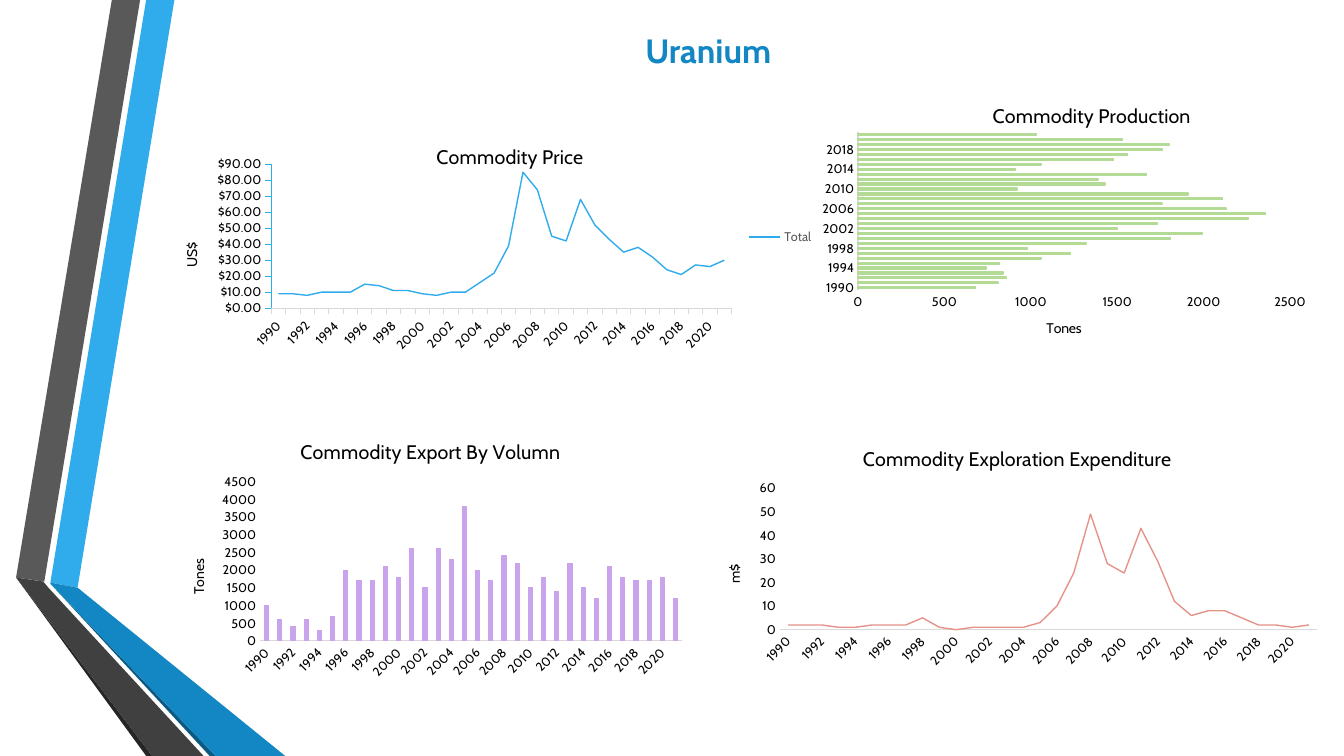
from lxml import etree
from pptx import Presentation
from pptx.chart.data import CategoryChartData
from pptx.dml.color import RGBColor
from pptx.enum.chart import XL_CHART_TYPE, XL_LEGEND_POSITION, XL_TICK_MARK
from pptx.enum.text import MSO_ANCHOR, PP_ALIGN
from pptx.oxml import parse_xml
from pptx.oxml.ns import nsdecls, qn
from pptx.util import Inches, Pt

LINE, BAR, COLUMN = XL_CHART_TYPE.LINE, XL_CHART_TYPE.BAR_CLUSTERED, XL_CHART_TYPE.COLUMN_CLUSTERED
TICK_NONE, TICK_OUT = XL_TICK_MARK.NONE, XL_TICK_MARK.OUTSIDE
FONT = "Cabin"
BLACK = RGBColor(0x00, 0x00, 0x00)
GRAY = RGBColor(0x59, 0x59, 0x59)
CHARCOAL = RGBColor(0x40, 0x40, 0x40)
DARK = RGBColor(0x26, 0x26, 0x26)
AXIS_GRAY = RGBColor(0xD9, 0xD9, 0xD9)
SKY = RGBColor(0x30, 0xAC, 0xEC)
BLUE = RGBColor(0x12, 0x87, 0xC3)
NAVY = RGBColor(0x0C, 0x5A, 0x82)
GREEN = RGBColor(0xB3, 0xDB, 0x95)
PURPLE = RGBColor(0xCA, 0xA3, 0xED)
CORAL = RGBColor(0xE6, 0x92, 0x89)


def set_font(font, size, color=BLACK):
    font.name, font.size, font.bold = FONT, Pt(size), False
    font.color.rgb = color


def set_layout(parent, x, y, w=None, h=None):
    """Place a chart title (x, y) or plot area (x, y, w, h) by fractions of the chart."""
    inner = '<c:layoutTarget val="inner"/>' if w else ""
    inner += '<c:xMode val="edge"/><c:yMode val="edge"/>'
    for tag, value in zip("xywh", (x, y, w, h)):
        if value is not None:
            inner += f'<c:{tag} val="{value}"/>'
    for old in parent.findall(qn("c:layout")):
        parent.remove(old)
    layout = parse_xml(f'<c:layout {nsdecls("c")}><c:manualLayout>{inner}'
                       '</c:manualLayout></c:layout>')
    text = parent.find(qn("c:tx"))
    parent.insert(0 if text is None else parent.index(text) + 1, layout)


prs = Presentation()
prs.slide_width, prs.slide_height = Inches(13.33), Inches(7.5)
s = prs.slides.add_slide(prs.slide_layouts[5])

# Folded ribbons on the left
ribbons = [
    (SKY, [(0.5, 5.78), (0.77, 5.83), (1.73, 0), (1.45, 0)]),
    (GRAY, [(1.39, 0), (1.11, 0), (0.16, 5.73), (0.44, 5.77)]),
    (DARK, [(0.16, 5.73), (1.45, 7.5), (1.51, 7.5)]),
    (NAVY, [(0.5, 5.79), (2.08, 7.5), (2.14, 7.5)]),
    (BLUE, [(0.5, 5.79), (2.14, 7.5), (2.83, 7.5), (0.77, 5.83), (0.5, 5.78)]),
    (CHARCOAL, [(2.02, 7.5), (0.48, 5.83), (0.43, 5.77), (0.16, 5.73), (1.51, 7.5)]),
]
for color, points in ribbons:
    points = [(Inches(x), Inches(y)) for x, y in points]
    builder = s.shapes.build_freeform(*points[0])
    builder.add_line_segments(points[1:], close=True)
    sp = builder.convert_to_shape()
    sp.shadow.inherit = False
    sp.fill.solid()
    sp.fill.fore_color.rgb = color
    sp.line.fill.background()

# Title
title = s.shapes.title
title.left, title.top, title.width, title.height = map(Inches, (6.3, 0.25, 1.55, 0.5))
tf = title.text_frame
tf.word_wrap = False
tf.vertical_anchor = MSO_ANCHOR.TOP
p = tf.paragraphs[0]
p.text = "Uranium"
p.alignment = PP_ALIGN.LEFT
set_font(p.font, 24, BLUE)
p.font.bold = True

# Charts, one value per year
years = [str(year) for year in range(1990, 2022)]
charts = [
    dict(title="Commodity Price", unit="US$", kind=LINE, color=SKY, series="Total",
         at=(1.6, 1.15, 6.57, 2.4), plot=(0.166, 0.2, 0.695, 0.595), title_at=(0.41, 0.1),
         top=90, step=10, skip=2, weight=1,
         values=[9, 9, 8, 10, 10, 10, 15, 14, 11, 11, 9, 8, 10, 10, 16, 22, 39, 85, 74, 45, 42,
                 68, 52, 43, 35, 38, 32, 24, 21, 27, 26, 30]),
    dict(title="Commodity Production", unit="Tones", kind=BAR, color=GREEN, series="Series 1",
         at=(8.06, 0.82, 5, 2.73), plot=(0.09, 0.18, 0.857, 0.575), title_at=(0.35, 0.06),
         top=2500, step=500, skip=4, weight=1, gap=182, overlap=0,
         values=[680, 810, 860, 840, 740, 820, 1060, 1230, 980, 1320, 1810, 1990, 1500, 1730,
                 2260, 2360, 2130, 1760, 2110, 1910, 920, 1430, 1390, 1670, 910, 1060, 1480,
                 1560, 1760, 1800, 1530, 1030]),
    dict(title="Commodity Export By Volumn", unit="Tones", kind=COLUMN, color=PURPLE,
         series="Series 1", at=(1.67, 4.21, 5.2, 2.59), plot=(0.175, 0.22, 0.805, 0.61),
         top=4500, step=500, skip=2, weight=0.75, gap=219, overlap=-27,
         values=[1000, 600, 400, 600, 300, 700, 2000, 1700, 1700, 2100, 1800, 2600, 1500, 2600,
                 2300, 3800, 2000, 1700, 2400, 2200, 1500, 1800, 1400, 2200, 1500, 1200, 2100,
                 1800, 1700, 1700, 1800, 1200]),
    dict(title="Commodity Exploration Expenditure", unit="m$", kind=LINE, color=CORAL,
         series="Series 1", at=(6.99, 4.28, 6.2, 2.4), plot=(0.12, 0.235, 0.86, 0.585),
         top=60, step=10, skip=2, weight=1,
         values=[2, 2, 2, 1, 1, 2, 2, 2, 5, 1, 0, 1, 1, 1, 1, 3, 10, 24, 49, 28, 24, 43, 29, 12,
                 6, 8, 8, 5, 2, 2, 1, 2]),
]
for c in charts:
    is_price = c["series"] == "Total"
    data = CategoryChartData()
    data.categories = years
    data.add_series(c["series"], c["values"])
    chart = s.shapes.add_chart(c["kind"], *map(Inches, c["at"]), data).chart
    set_font(chart.font, 10)

    # Chart title and legend
    chart.has_title = True
    p = chart.chart_title.text_frame.paragraphs[0]
    p.text = c["title"]
    set_font(p.font, 14)
    chart.chart_title.include_in_layout = False
    if "title_at" in c:
        set_layout(chart.chart_title._element, *c["title_at"])
    chart.has_legend = is_price
    if is_price:
        chart.legend.position = XL_LEGEND_POSITION.RIGHT
        chart.legend.include_in_layout = False
        set_font(chart.legend.font, 9, GRAY)

    # Axes
    cat, val = chart.category_axis, chart.value_axis
    for axis in (cat, val):
        axis.has_major_gridlines = False
        axis.major_tick_mark = TICK_OUT if is_price else TICK_NONE
        axis.minor_tick_mark = TICK_NONE
        set_font(axis.tick_labels.font, 9)
        axis.format.line.width = Pt(0.75)
    cat.format.line.color.rgb = AXIS_GRAY
    if c["kind"] != BAR:
        cat._element.find(qn("c:txPr")).find(qn("a:bodyPr")).set("rot", "-2700000")
    skip = etree.Element(qn("c:tickLblSkip"), val=str(c["skip"]))
    cat._element.find(qn("c:noMultiLvlLbl")).addprevious(skip)
    val.minimum_scale, val.maximum_scale, val.major_unit = 0, c["top"], c["step"]
    val.tick_labels.number_format = '"$"#,##0.00' if is_price else "General"
    val.tick_labels.number_format_is_linked = False
    if is_price:
        val.format.line.color.rgb = SKY
    else:
        val.format.line.fill.background()
    p = val.axis_title.text_frame.paragraphs[0]
    p.text = c["unit"]
    set_font(p.font, 10)

    # Plot and series
    plot = chart.plots[0]
    plot.vary_by_categories = False
    set_layout(chart._chartSpace.chart.plotArea, *c["plot"])
    series = plot.series[0]
    series.format.line.color.rgb = c["color"]
    series.format.line.width = Pt(c["weight"])
    if c["kind"] == LINE:
        series.smooth = False
    else:
        plot.gap_width, plot.overlap = c["gap"], c["overlap"]
        series.format.fill.solid()
        series.format.fill.fore_color.rgb = c["color"]

prs.save("out.pptx")
